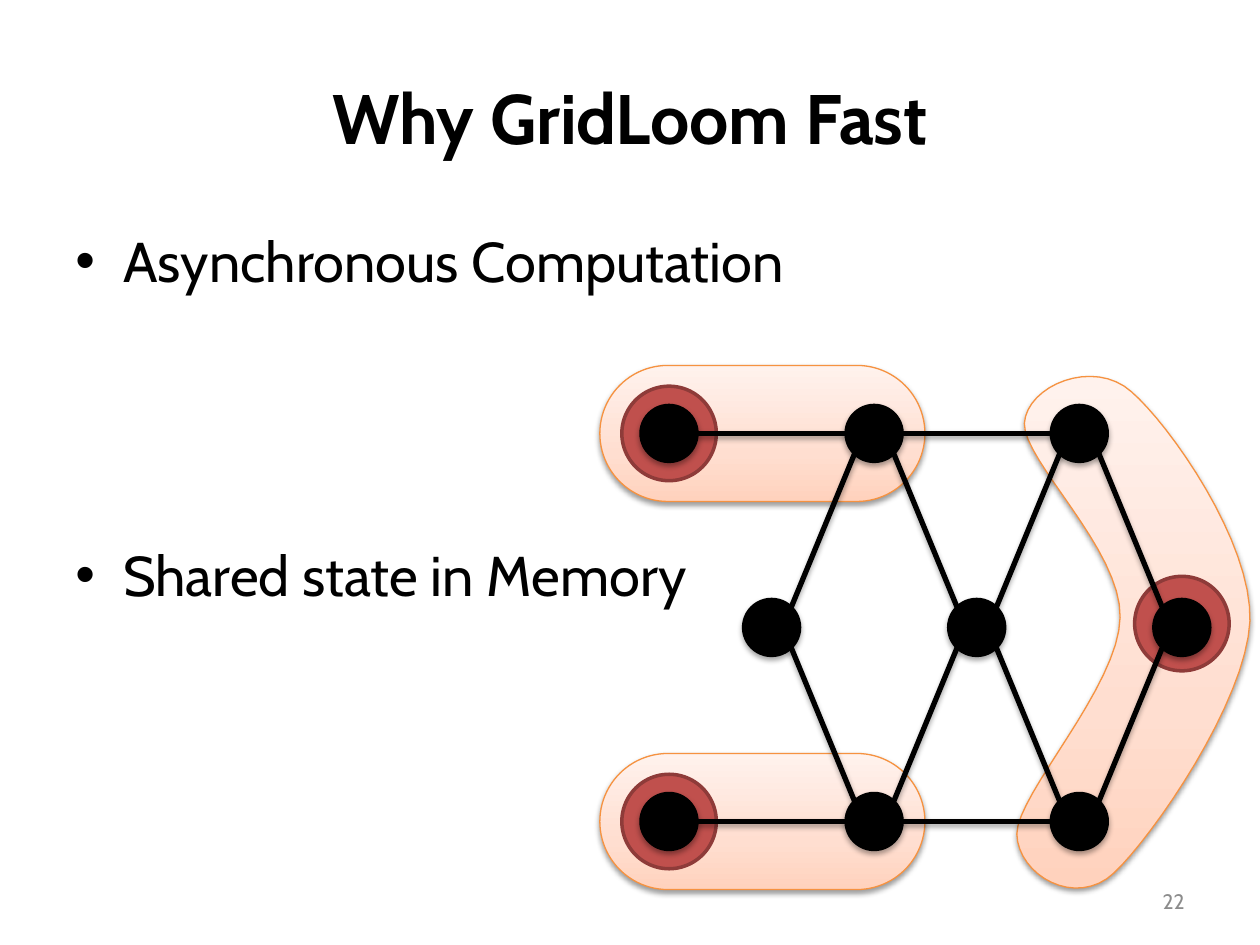
"""Build a slide on fast asynchronous graph computation with a small graph diagram."""
import math

import pptx
import pptx.dml.color
import pptx.enum.shapes
import pptx.enum.text
import pptx.oxml
import pptx.oxml.ns
import pptx.util
from lxml import etree

TITLE = "Why GridLoom Fast"
BULLETS = [("Asynchronous Computation", 0), ("Shared state in Memory", 141)]
PAGE_NUMBER = "22"

COLORS = {
    "ink": "000000", "muted": "8C8C8C", "halo": "C0504D", "halo_edge": "8E3B39",
    "region_edge": "F69240", "deep": "FFD2BD", "middle": "FFDED0", "pale": "FFF2ED",
}
FONT = "Cabin"
REGION_STOPS = [(0, "deep"), (35, "middle"), (100, "pale")]
REGION_SHADOW = {"opacity": 38, "blur": 3.1, "distance": 1.6}
GRAPH_SHADOW = {"opacity": 35, "blur": 3.1, "distance": 1.8}

WIDTH, HEIGHT = 10, 7.5
ORIGIN_X, ORIGIN_Y = 5.31, 3.44
COLUMN, ROW = 0.814, 1.54
NODE, HALO = 0.43, 0.75

NODES = [(0, 0), (2, 0), (4, 0), (1, 1), (3, 1), (5, 1), (0, 2), (2, 2), (4, 2)]
EDGES = [(0, 1), (1, 2), (6, 7), (7, 8), (3, 1), (3, 7), (4, 1), (4, 2),
         (4, 7), (4, 8), (5, 2), (5, 8)]
HALOS = [(0, 0), (0, 2), (5, 0.98)]
CAPSULES = [(0.91, 0), (0.91, 2)]
CAPSULE_SIZE = (2.58, 1.08)
BEND_START = (9.92, 4.93)
BEND_CURVES = [
    ((9.94, 4.3), (9.28, 3.37), (8.98, 3.11)),
    ((8.68, 2.84), (8.15, 3.06), (8.13, 3.36)),
    ((8.12, 3.66), (8.9, 4.36), (8.89, 4.9)),
    ((8.88, 5.45), (8.07, 6.3), (8.07, 6.62)),
    ((8.08, 6.95), (8.54, 7.21), (8.84, 6.93)),
    ((9.15, 6.64), (9.89, 5.57), (9.92, 4.93)),
]
CURVE_STEPS = 16

deck = pptx.Presentation()
deck.slide_width = pptx.util.Inches(WIDTH)
deck.slide_height = pptx.util.Inches(HEIGHT)
page = deck.slides.add_slide(deck.slide_layouts[6])


def color(name):
    return pptx.dml.color.RGBColor.from_string(COLORS[name])


def inches(*lengths):
    return [pptx.util.Inches(length) for length in lengths]


def grid_point(column, row):
    return ORIGIN_X + column * COLUMN, ORIGIN_Y + row * ROW


def add_xml(parent, tag, **attributes):
    element = etree.SubElement(parent, pptx.oxml.ns.qn(tag))
    for key, value in attributes.items():
        element.set(key, str(value))
    return element


def set_line(item, name, width):
    item.line.color.rgb = color(name)
    item.line.width = pptx.util.Pt(width)


def set_shadow(item, opacity=0, blur=0, distance=0):
    effects = add_xml(item._element.spPr, "a:effectLst")
    if opacity:
        shade = add_xml(effects, "a:outerShdw", blurRad=pptx.util.Pt(blur),
                        dist=pptx.util.Pt(distance), dir=5400000, rotWithShape=0)
        ink = add_xml(shade, "a:srgbClr", val=COLORS["ink"])
        add_xml(ink, "a:alpha", val=opacity * 1000)


def add_text(box, text, size, name="ink", bold=False, align="LEFT", before=0, bullet=False):
    frame = box.text_frame
    para = frame.add_paragraph() if frame.text else frame.paragraphs[0]
    para.alignment = getattr(pptx.enum.text.PP_ALIGN, align)
    para.space_before = pptx.util.Pt(before)
    span = para.add_run()
    span.text = text
    span.font.name, span.font.size, span.font.bold = FONT, pptx.util.Pt(size), bold
    span.font.color.rgb = color(name)
    if bullet:
        properties = para._p.get_or_add_pPr()
        indent = pptx.util.Inches(0.38)
        properties.set("marL", str(indent))
        properties.set("indent", str(-indent))
        add_xml(properties, "a:buFont", typeface="Arial")
        add_xml(properties, "a:buChar", char="•")


def add_box(left, top, width, height, anchor="MIDDLE"):
    box = page.shapes.add_textbox(*inches(left * WIDTH, top * HEIGHT, width * WIDTH, height * HEIGHT))
    box.text_frame.word_wrap = True
    box.text_frame.vertical_anchor = getattr(pptx.enum.text.MSO_ANCHOR, anchor)
    return box


def add_centered(kind, cell, width, height):
    x, y = grid_point(*cell)
    shape_type = getattr(pptx.enum.shapes.MSO_SHAPE, kind)
    return page.shapes.add_shape(shape_type, *inches(x - width / 2, y - height / 2, width, height))


def add_disc(cell, size, fill, edge, width, shadow):
    disc = add_centered("OVAL", cell, size, size)
    disc.fill.solid()
    disc.fill.fore_color.rgb = color(fill)
    set_line(disc, edge, width)
    set_shadow(disc, **shadow)


def style_region(region):
    region.fill.gradient()
    region.fill.gradient_angle = 90
    stops = region._element.spPr.find(".//" + pptx.oxml.ns.qn("a:gsLst"))
    for stop in list(stops):
        stops.remove(stop)
    for position, name in REGION_STOPS:
        add_xml(add_xml(stops, "a:gs", pos=position * 1000), "a:srgbClr", val=COLORS[name])
    set_line(region, "region_edge", 0.75)
    set_shadow(region, **REGION_SHADOW)


def bend_points():
    start = BEND_START
    for first, second, end in BEND_CURVES:
        for step in range(1, CURVE_STEPS + 1):
            t = step / CURVE_STEPS
            u = 1 - t
            yield inches(*(u**3 * a + 3 * u * u * t * b + 3 * u * t * t * c + t**3 * d
                           for a, b, c, d in zip(start, first, second, end)))
        start = end


def add_edge(start, end):
    (x1, y1), (x2, y2) = grid_point(*start), grid_point(*end)
    turn = math.pi / 4 if y1 != y2 else 0
    dx = math.copysign(NODE / 2 * math.cos(turn), x2 - x1)
    dy = math.copysign(NODE / 2 * math.sin(turn), y2 - y1)
    edge = page.shapes.add_connector(pptx.enum.shapes.MSO_CONNECTOR.STRAIGHT,
                                     *inches(x1 + dx, y1 + dy, x2 - dx, y2 - dy))
    set_line(edge, "ink", 3)
    set_shadow(edge, **GRAPH_SHADOW)


def main():
    add_text(add_box(0.05, 0.04, 0.9, 0.167), TITLE, 40, bold=True, align="CENTER")
    body = add_box(0.05, 0.233, 0.9, 0.71, anchor="TOP")
    for text, before in BULLETS:
        add_text(body, text, 32, before=before, bullet=True)
    add_text(add_box(0.717, 0.927, 0.233, 0.053), PAGE_NUMBER, 12, name="muted", align="RIGHT")

    outline = page.shapes.build_freeform(*inches(*BEND_START))
    outline.add_line_segments(list(bend_points()), close=True)
    style_region(outline.convert_to_shape())
    for cell in CAPSULES:
        capsule = add_centered("ROUNDED_RECTANGLE", cell, *CAPSULE_SIZE)
        capsule.adjustments[0] = 0.5
        style_region(capsule)
    for cell in HALOS:
        add_disc(cell, HALO, "halo", "halo_edge", 2, {})
    for start, end in EDGES:
        add_edge(NODES[start], NODES[end])
    for cell in NODES:
        add_disc(cell, NODE, "ink", "ink", 3, GRAPH_SHADOW)
    deck.save("out.pptx")


if __name__ == "__main__":
    main()
